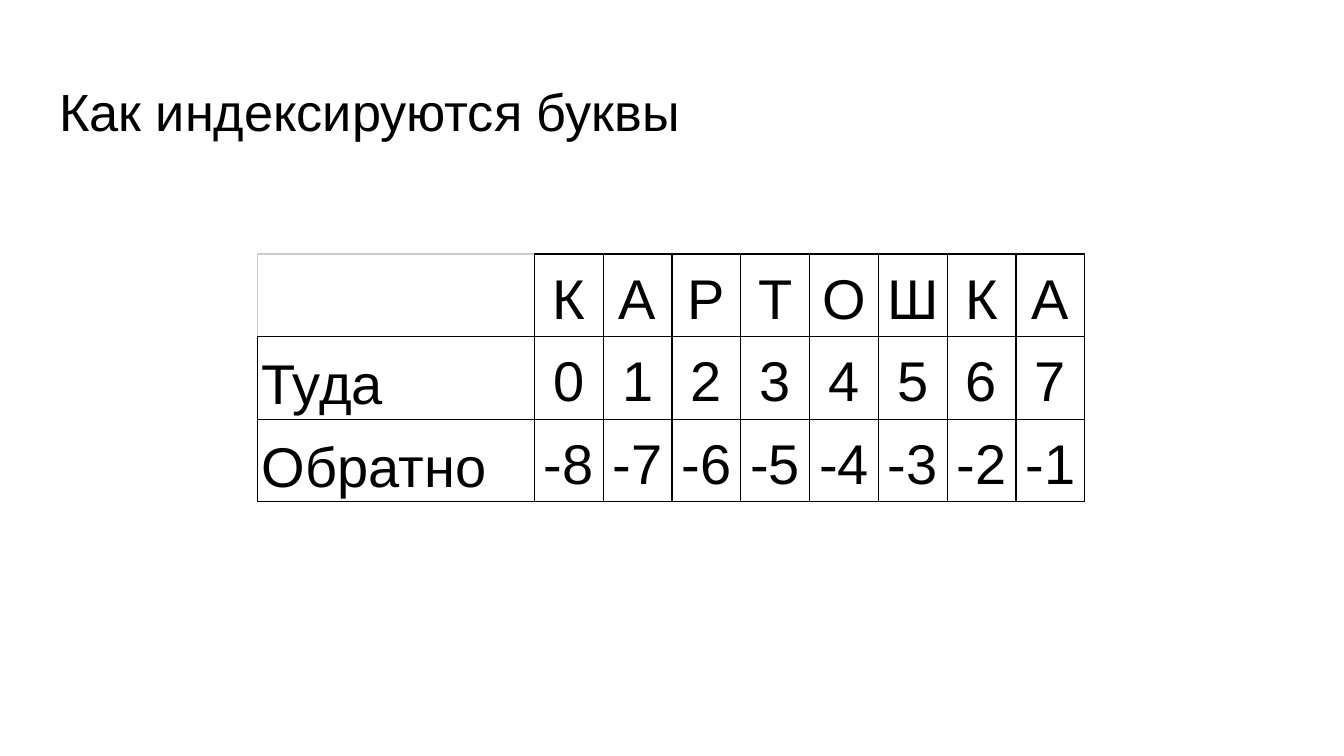
from lxml import etree
from pptx import Presentation
from pptx import util as u
from pptx.dml.color import RGBColor
from pptx.enum import text
from pptx.oxml import ns

TITLE = "Как индексируются буквы"
WORD = "КАРТОШКА"
ROWS = [
    ["", *WORD],
    ["Туда", *range(len(WORD))],
    ["Обратно", *range(-len(WORD), 0)],
]

BLACK = RGBColor(0, 0, 0)
GRAY = RGBColor(0xCC, 0xCC, 0xCC)
FONT = "Arial"
LABEL_WIDTH, LETTER_WIDTH, ROW_HEIGHT = 5.23, 1.3, 1.46
TABLE_LEFT, TABLE_TOP = 4.87, 4.8


def write(frame, content, size, align=text.PP_ALIGN.LEFT, spacing=1.0):
    paragraph = frame.paragraphs[0]
    paragraph.alignment = align
    paragraph.line_spacing = spacing
    run = paragraph.add_run()
    run.text = content
    run.font.size = u.Pt(size)
    run.font.name = FONT
    run.font.color.rgb = BLACK


def set_border(cell, side, color):
    properties = cell._tc.get_or_add_tcPr()
    line = etree.SubElement(properties, ns.qn(f"a:ln{side}"), w=str(u.Pt(0.75)))
    fill = etree.SubElement(line, ns.qn("a:solidFill"))
    etree.SubElement(fill, ns.qn("a:srgbClr"), val=str(color))


def add_title(slide):
    box = slide.shapes.add_textbox(u.Cm(0.87), u.Cm(1.24), u.Cm(23.67), u.Cm(1.6))
    frame = box.text_frame
    frame.word_wrap = True
    frame.margin_left = frame.margin_right = u.Cm(0.25)
    frame.margin_top = frame.margin_bottom = u.Cm(0.25)
    write(frame, TITLE, 28)


def add_index_table(slide):
    widths = [LABEL_WIDTH] + [LETTER_WIDTH] * len(WORD)
    table = slide.shapes.add_table(
        len(ROWS), len(widths), u.Cm(TABLE_LEFT), u.Cm(TABLE_TOP),
        u.Cm(sum(widths)), u.Cm(ROW_HEIGHT * len(ROWS)),
    ).table
    table.first_row = table.horz_banding = False
    for column, width in zip(table.columns, widths):
        column.width = u.Cm(width)
    for row_index, values in enumerate(ROWS):
        table.rows[row_index].height = u.Cm(ROW_HEIGHT)
        for column_index, value in enumerate(values):
            cell = table.cell(row_index, column_index)
            is_label = column_index == 0
            is_corner = is_label and row_index == 0
            for side in "LRTB":
                set_border(cell, side, GRAY if is_corner and side in "LT" else BLACK)
            cell.fill.background()
            cell.margin_left = cell.margin_right = u.Cm(0.08)
            cell.margin_top = cell.margin_bottom = u.Cm(0.05)
            cell.vertical_anchor = text.MSO_ANCHOR.BOTTOM if is_label else text.MSO_ANCHOR.MIDDLE
            if not is_corner:
                align = text.PP_ALIGN.LEFT if is_label else text.PP_ALIGN.CENTER
                write(cell.text_frame, str(value), 30, align=align, spacing=1.15)


def main():
    presentation = Presentation()
    presentation.slide_width = u.Cm(25.4)
    presentation.slide_height = u.Cm(14.29)
    slide = presentation.slides.add_slide(presentation.slide_layouts[6])
    add_title(slide)
    add_index_table(slide)
    presentation.save("out.pptx")


if __name__ == "__main__":
    main()
